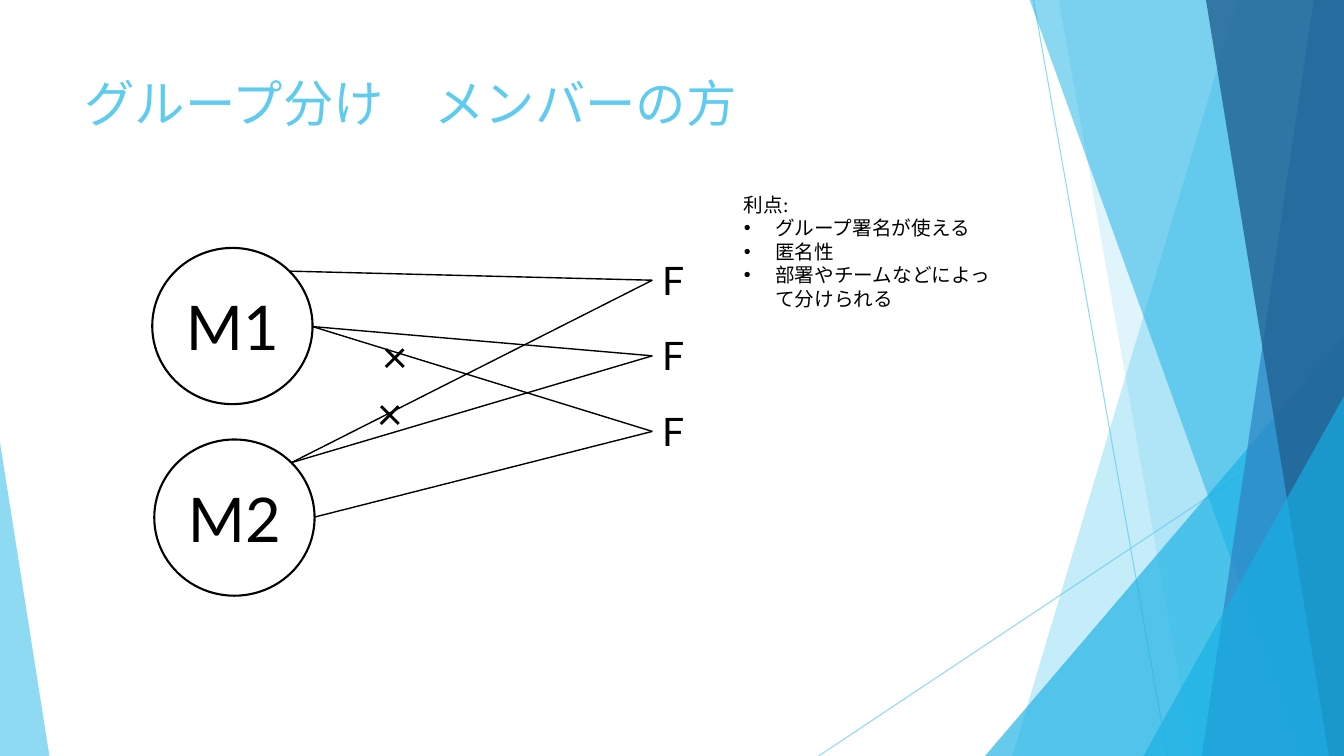
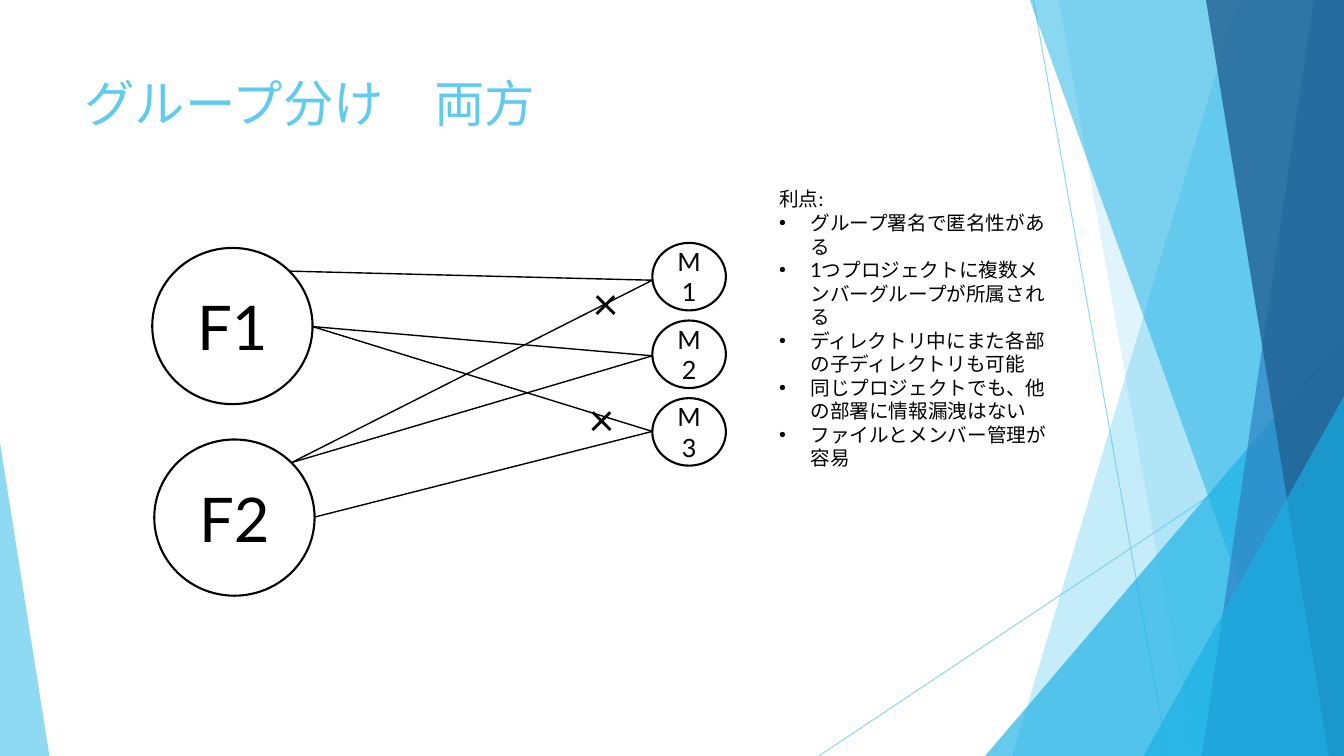
from lxml import etree
from pptx import Presentation
from pptx.dml.color import RGBColor
from pptx.enum.shapes import MSO_CONNECTOR, MSO_SHAPE
from pptx.enum.text import MSO_ANCHOR, PP_ALIGN
from pptx.oxml.ns import qn
from pptx.util import Inches, Pt

STRAIGHT = MSO_CONNECTOR.STRAIGHT
ELLIPSE, TRIANGLE = MSO_SHAPE.OVAL, MSO_SHAPE.ISOSCELES_TRIANGLE
TOP, MIDDLE = MSO_ANCHOR.TOP, MSO_ANCHOR.MIDDLE
LEFT, CENTER = PP_ALIGN.LEFT, PP_ALIGN.CENTER

WIDTH, HEIGHT = 13.33, 7.5
FONT = "Lato"
COLORS = {
    "ink": "000000",
    "sky": "5FCBEF",
    "cyan": "17B0E4",
    "blue": "2E83C3",
    "navy": "226292",
}

# Decoration: thin lines, bands down to the right edge, corner triangles
RAYS = [((10.25, 0), (11.58, HEIGHT)), ((WIDTH, 4.03), (8.12, HEIGHT))]
BACK_BANDS = [(12.28, 10.04, "sky", 36), (10.5, 11.83, "sky", 20)]
FRONT_BANDS = [(10.21, 12.91, "cyan", 50), (13.03, 11.92, "blue", 70),
               (11.96, 13.18, "navy", 80)]

# Diagram: two large circles linked to three targets
LARGE_CIRCLES = [(1.51, 2.46), (1.53, 4.36)]
TARGET_X, TARGET_TOP, TARGET_STEP = 6.47, 2.78, 0.75
LINKS = [((2.87, 2.69), 0), ((3.1, 3.24), 1), ((3.12, 5.13), 2),
         ((2.89, 4.59), 1), ((2.89, 4.59), 0), ((3.1, 3.24), 2)]


def write_text(frame, lines, size, color="ink", align=LEFT, anchor=TOP,
               bullets_from=None):
    """Write one paragraph per line; bullet those from an index onwards."""
    frame.word_wrap = True
    frame.vertical_anchor = anchor
    for index, line in enumerate(lines):
        para = frame.paragraphs[0] if index == 0 else frame.add_paragraph()
        para.alignment = align
        span = para.add_run()
        span.text = line
        span.font.size = Pt(size)
        span.font.name = FONT
        span.font.color.rgb = RGBColor.from_string(COLORS[color])
        if bullets_from is not None and index >= bullets_from:
            props = para._p.get_or_add_pPr()
            props.set("marL", str(Inches(0.31)))
            props.set("indent", str(-Inches(0.31)))
            etree.SubElement(props, qn("a:buFont")).set("typeface", "Arial")
            etree.SubElement(props, qn("a:buChar")).set("char", "•")


def set_opacity(shape, percent):
    for color in shape.element.spPr.iter(qn("a:srgbClr")):
        etree.SubElement(color, qn("a:alpha")).set("val", str(percent * 1000))


class Deck:
    def __init__(self):
        self.deck = Presentation()
        self.deck.slide_width = Inches(WIDTH)
        self.deck.slide_height = Inches(HEIGHT)
        self.page = None

    def add_page(self, title):
        self.page = self.deck.slides.add_slide(self.deck.slide_layouts[6])
        self.decorate()
        self.text([title], 0.74, 0.67, 9.4, 1.44, size=36, color="sky")

    def decorate(self):
        for start, end in RAYS:
            self.line(start, end, color="sky", weight=0.75, opacity=70)
        for band in BACK_BANDS:
            self.band(*band)
        self.triangle(9.77, 3.33, 3.56, 4.17, "cyan", 66, apex=1)
        for band in FRONT_BANDS:
            self.band(*band)
        self.triangle(11.34, 3.93, 1.99, 3.57, "cyan", 66, apex=1)
        self.triangle(0, 4.39, 0.49, 3.11, "sky", 70, apex=0)

    def paint(self, shape, color, opacity):
        shape.shadow.inherit = False
        shape.fill.solid()
        shape.fill.fore_color.rgb = RGBColor.from_string(COLORS[color])
        shape.line.fill.background()
        set_opacity(shape, opacity)

    def band(self, top_x, bottom_x, color, opacity):
        builder = self.page.shapes.build_freeform(
            Inches(top_x), Inches(-0.01), scale=1.0)
        corners = [(WIDTH, -0.01), (WIDTH, HEIGHT), (bottom_x, HEIGHT)]
        builder.add_line_segments(
            [(Inches(x), Inches(y)) for x, y in corners], close=True)
        self.paint(builder.convert_to_shape(), color, opacity)

    def triangle(self, x, y, width, height, color, opacity, apex):
        shape = self.page.shapes.add_shape(
            TRIANGLE, Inches(x), Inches(y), Inches(width), Inches(height))
        shape.adjustments[0] = apex
        self.paint(shape, color, opacity)

    def line(self, start, end, color="ink", weight=1, opacity=100):
        line = self.page.shapes.add_connector(
            STRAIGHT, *(Inches(value) for value in (*start, *end)))
        line.line.color.rgb = RGBColor.from_string(COLORS[color])
        line.line.width = Pt(weight)
        etree.SubElement(line.element.spPr, qn("a:effectLst"))
        if opacity < 100:
            set_opacity(line, opacity)

    def text(self, lines, x, y, width, height, **style):
        box = self.page.shapes.add_textbox(
            Inches(x), Inches(y), Inches(width), Inches(height))
        write_text(box.text_frame, lines, **style)

    def circle(self, label, x, y, width, height, size):
        circle = self.page.shapes.add_shape(
            ELLIPSE, Inches(x), Inches(y), Inches(width), Inches(height))
        circle.shadow.inherit = False
        circle.fill.background()
        circle.line.color.rgb = RGBColor.from_string(COLORS["ink"])
        circle.line.width = Pt(1.5)
        write_text(circle.text_frame, [label], size, align=CENTER,
                   anchor=MIDDLE)

    def diagram(self, labels, crosses):
        for label, (x, y) in zip(labels, LARGE_CIRCLES):
            self.circle(label, x, y, 1.59, 1.55, size=44)
        for start, target in LINKS:
            self.line(start, (TARGET_X, TARGET_TOP + target * TARGET_STEP))
        for x, y in crosses:
            self.text(["×"], x, y, 0.58, 0.64, size=32)

    def benefits(self, items, x, y, width, height):
        self.text(["利点:", *items], x, y, width, height, size=14,
                  bullets_from=1)


def main():
    deck = Deck()

    # Members in groups
    deck.add_page("グループ分け　メンバーの方")
    deck.diagram(["M1", "M2"], crosses=[(3.69, 3.21), (3.64, 3.78)])
    for row in range(3):
        deck.text(["F"], TARGET_X, 2.49 + row * TARGET_STEP, 0.47, 0.57,
                  size=28)
    deck.benefits(["グループ署名が使える", "匿名性",
                   "部署やチームなどによって分けられる"],
                  7.28, 1.86, 2.65, 1.75)

    # Both files and members in groups
    deck.add_page("グループ分け　両方")
    deck.diagram(["F1", "F2"], crosses=[(5.78, 2.69), (5.74, 3.84)])
    for row in range(3):
        deck.circle(f"M{row + 1}", TARGET_X, 2.41 + row * 0.77, 0.73, 0.67,
                    size=18)
    deck.benefits(["グループ署名で匿名性がある",
                   "1つプロジェクトに複数メンバーグループが所属される",
                   "ディレクトリ中にまた各部の子ディレクトリも可能",
                   "同じプロジェクトでも、他の部署に情報漏洩はない",
                   "ファイルとメンバー管理が容易"],
                  7.63, 1.81, 2.93, 2.93)

    deck.deck.save("out.pptx")


if __name__ == "__main__":
    main()
